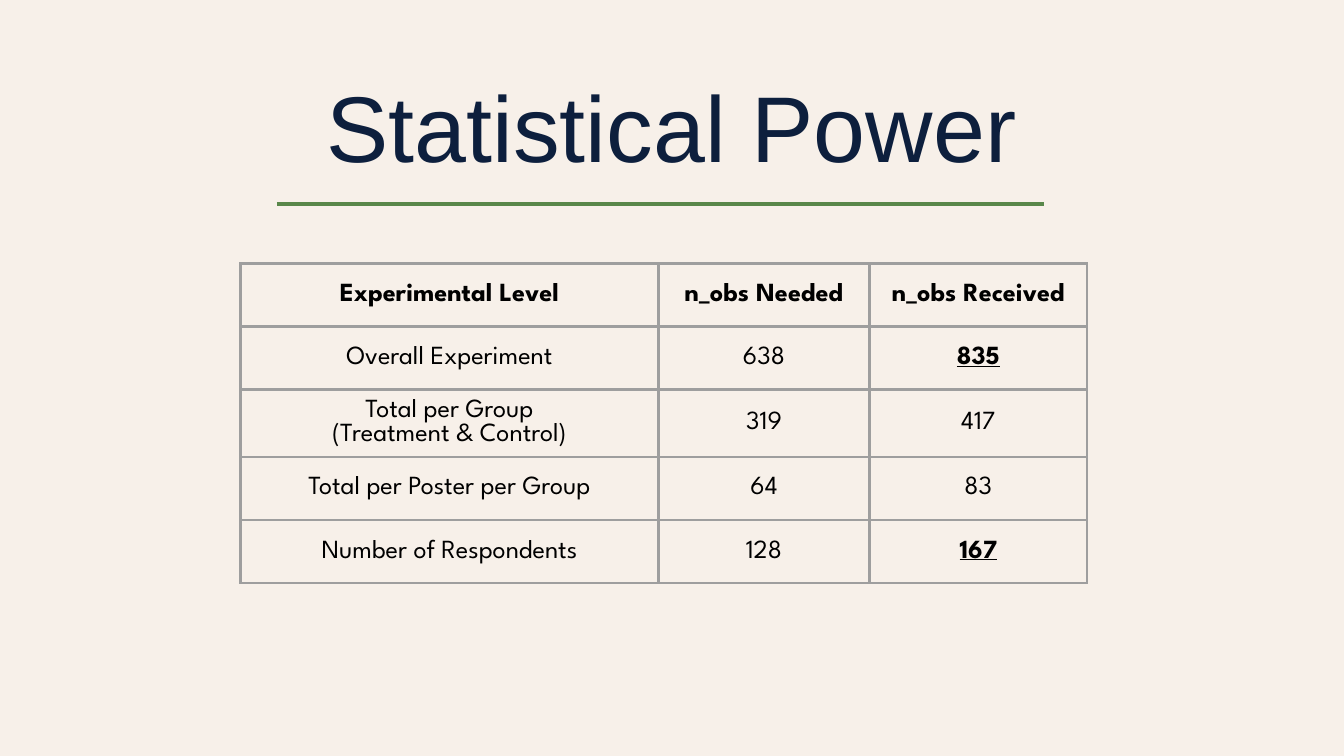
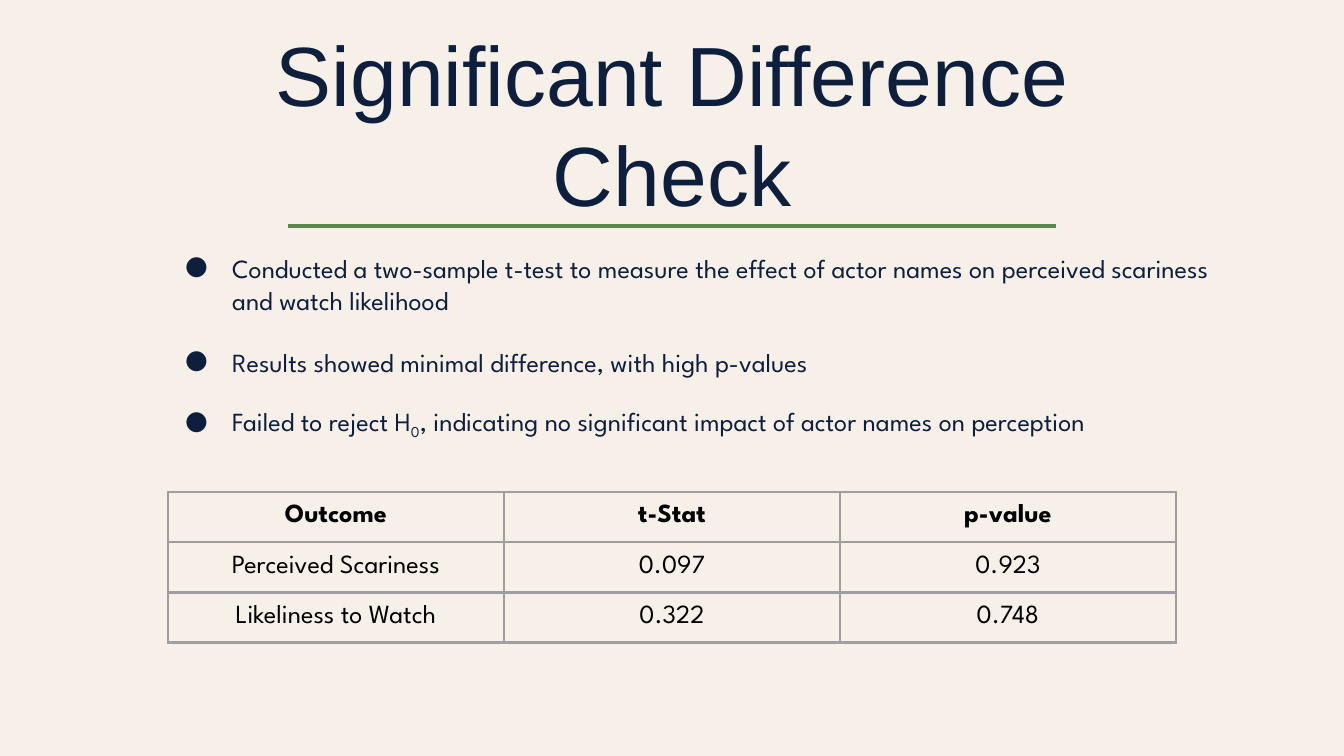
from dataclasses import dataclass

from lxml.etree import SubElement
from pptx import Presentation
from pptx.dml.color import RGBColor
from pptx.enum.shapes import MSO_CONNECTOR as Connector
from pptx.enum.text import MSO_ANCHOR as Anchor, PP_ALIGN as Align
from pptx.oxml.ns import qn
from pptx.util import Inches, Pt


# Shared colours, fonts and sizes
@dataclass(frozen=True)
class Theme:
    paper: str = "F7F0E9"
    navy: str = "0D1F3D"
    green: str = "59874A"
    grey: str = "9E9E9E"
    black: str = "000000"
    title_font: str = "Arial"
    body_font: str = "League Spartan"
    body_size: float = 14
    rule_width: float = 2.25
    border_width: float = 1.5
    leading: float = 1.2


def set_font(font, name, size, color):
    font.name = name
    font.size = Pt(size)
    font.color.rgb = RGBColor.from_string(color)


class SlideBuilder:
    """Holds the theme and the slide being built."""

    def __init__(self, deck, theme):
        self.deck = deck
        self.theme = theme
        self.page = None

    def new_page(self):
        self.page = self.deck.slides.add_slide(self.deck.slide_layouts[6])
        fill = self.page.background.fill
        fill.solid()
        fill.fore_color.rgb = RGBColor.from_string(self.theme.paper)

    def text_frame(self, left, top, width, height, anchor):
        box = self.page.shapes.add_textbox(
            Inches(left), Inches(top), Inches(width), Inches(height))
        frame = box.text_frame
        frame.word_wrap = True
        frame.vertical_anchor = anchor
        frame.margin_left = frame.margin_right = Inches(0.1)
        frame.margin_top = frame.margin_bottom = Inches(0.1)
        return frame

    def title(self, text, top, size):
        frame = self.text_frame(1.91, top, 6.18, 1.27, Anchor.MIDDLE)
        para = frame.paragraphs[0]
        para.text = text
        para.alignment = Align.CENTER
        para.line_spacing = Pt(size * self.theme.leading)
        set_font(para.font, self.theme.title_font, size, self.theme.navy)

    def rule(self, left, right, top):
        line = self.page.shapes.add_connector(
            Connector.STRAIGHT, Inches(left), Inches(top), Inches(right), Inches(top))
        line.line.color.rgb = RGBColor.from_string(self.theme.green)
        line.line.width = Pt(self.theme.rule_width)
        SubElement(line._element.spPr, qn("a:effectLst"))

    def bullets(self, items, left, top, width, height):
        """Each item is a list of (text, is_subscript) spans."""
        frame = self.text_frame(left, top, width, height, Anchor.TOP)
        line_height = Pt(self.theme.body_size * self.theme.leading)
        for index, spans in enumerate(items):
            para = frame.add_paragraph() if index else frame.paragraphs[0]
            para.line_spacing = line_height
            if index:
                para.space_before = line_height
            self.add_bullet(para)
            for text, is_subscript in spans:
                span = para.add_run()
                span.text = text
                # Bullets take their size from the first run
                set_font(span.font, self.theme.body_font, self.theme.body_size,
                         self.theme.navy)
                if is_subscript:
                    span.font._element.set("baseline", "-25000")

    def add_bullet(self, para):
        props = para._p.get_or_add_pPr()
        props.set("marL", str(Inches(0.5)))
        props.set("indent", str(Inches(-0.35)))
        color = SubElement(props, qn("a:buClr"))
        SubElement(color, qn("a:srgbClr"), val=self.theme.navy)
        SubElement(props, qn("a:buFont"), typeface=self.theme.body_font)
        SubElement(props, qn("a:buChar"), char="●")

    def table(self, rows, left, top, widths, row_height, margin, line_height,
              space_after=0, emphasis=()):
        """First row is the header; emphasis lists (row, column) to underline."""
        frame = self.page.shapes.add_table(
            len(rows), len(widths), Inches(left), Inches(top),
            Inches(sum(widths)), Inches(row_height * len(rows)))
        table = frame.table
        table.first_row = table.horz_banding = False
        for column, width in zip(table.columns, widths):
            column.width = Inches(width)
        for row_index, values in enumerate(rows):
            table.rows[row_index].height = Inches(row_height)
            for column_index, text in enumerate(values):
                cell = table.cell(row_index, column_index)
                stressed = (row_index, column_index) in emphasis
                self.style_cell(cell, margin)
                para = cell.text_frame.paragraphs[0]
                para.text = text
                para.alignment = Align.CENTER
                para.line_spacing = Pt(line_height)
                para.space_after = Pt(space_after)
                # Row heights follow the run size
                for span in para.runs:
                    set_font(span.font, self.theme.body_font,
                             self.theme.body_size, self.theme.black)
                    span.font.bold = row_index == 0 or stressed
                    span.font.underline = stressed

    def style_cell(self, cell, margin):
        cell.vertical_anchor = Anchor.MIDDLE
        cell.margin_left = cell.margin_right = Inches(margin)
        cell.margin_top = cell.margin_bottom = Inches(margin)
        props = cell._tc.get_or_add_tcPr()
        for side in ("L", "R", "T", "B"):
            border = SubElement(props, qn(f"a:ln{side}"),
                                w=str(Pt(self.theme.border_width)))
            fill = SubElement(border, qn("a:solidFill"))
            SubElement(fill, qn("a:srgbClr"), val=self.theme.grey)
        cell.fill.background()


# Slide 1: observations needed and received
def build_power(builder):
    builder.new_page()
    builder.title("Statistical Power", top=0.3, size=50)
    builder.rule(2.06, 7.77, 1.52)
    rows = [
        ("Experimental Level", "n_obs Needed", "n_obs Received"),
        ("Overall Experiment", "638", "835"),
        ("Total per Group\v(Treatment & Control)", "319", "417"),
        ("Total per Poster per Group", "64", "83"),
        ("Number of Respondents", "128", "167"),
    ]
    builder.table(rows, 1.79, 1.96, (3.11, 1.57, 1.62), row_height=0.47,
                  margin=0.07, line_height=13, space_after=6,
                  emphasis={(1, 2), (4, 2)})


# Slide 2: t-test findings
def build_difference(builder):
    builder.new_page()
    builder.title("Significant Difference Check", top=0.28, size=45)
    builder.bullets([
        [("Conducted a two-sample t-test to measure the effect of actor names "
          "on perceived scariness and watch likelihood", False)],
        [("Results showed minimal difference, with high p-values", False)],
        [("Failed to reject H", False), ("0", True),
         (", indicating no significant impact of actor names on perception", False)],
    ], 1.13, 1.78, 7.97, 1.73)
    builder.rule(2.14, 7.86, 1.68)
    rows = [
        ("Outcome", "t-Stat", "p-value"),
        ("Perceived Scariness", "0.097", "0.923"),
        ("Likeliness to Watch", "0.322", "0.748"),
    ]
    builder.table(rows, 1.25, 3.66, (2.5,) * 3, row_height=0.37, margin=0.1,
                  line_height=12.5)


def main():
    deck = Presentation()
    deck.slide_width = Inches(10)
    deck.slide_height = Inches(10 * 9 / 16)
    builder = SlideBuilder(deck, Theme())
    build_power(builder)
    build_difference(builder)
    deck.save("out.pptx")


if __name__ == "__main__":
    main()
